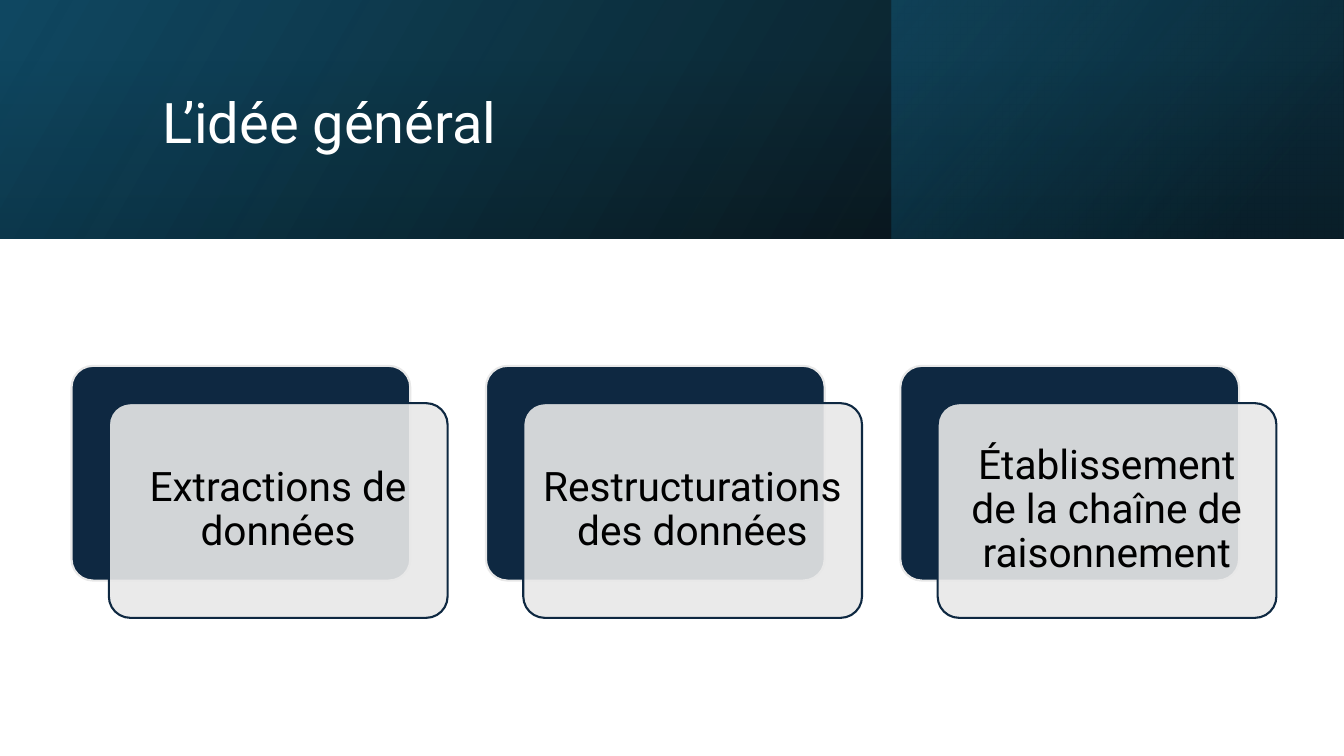
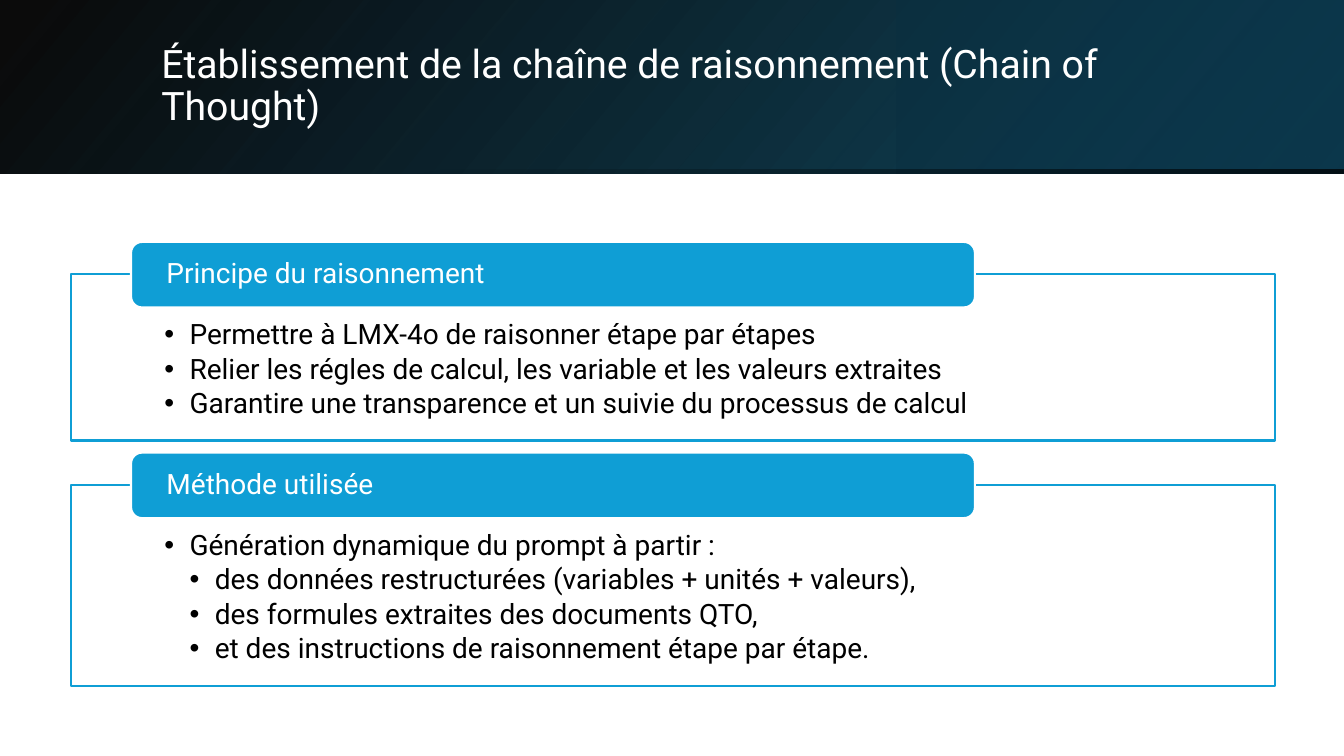
import pptx
import pptx.util
import pptx.dml.color
import pptx.enum.shapes
import pptx.enum.text
import pptx.oxml
import pptx.oxml.ns

Inches = pptx.util.Inches
Pt = pptx.util.Pt
Shape = pptx.enum.shapes.MSO_SHAPE
Align = pptx.enum.text.PP_ALIGN
Anchor = pptx.enum.text.MSO_ANCHOR

COLORS = {
    "black": "000000",
    "white": "FFFFFF",
    "navy": "0E2841",
    "grey": "E8E8E8",
    "sky": "0F9ED5",
    "petrol": "104862",
    "deep": "0B3041",
    "teal": "156082",
}
FONT = "Roboto"
SLIDE_WIDTH = 13.33
TITLE_ONLY, TWO_CONTENT = 5, 3
BULLET_STEP = 0.25

STEPS = [
    "Extractions de données",
    "Restructurations des données",
    "Établissement de la chaîne de raisonnement",
]
PRINCIPLE = [
    (1, "Permettre à LMX-4o de raisonner étape par étapes"),
    (1, "Relier les régles de calcul, les variable et les valeurs extraites"),
    (1, "Garantire une transparence et un suivie du processus de calcul"),
]
METHOD = [
    (1, "Génération dynamique du prompt à partir :"),
    (2, "des données restructurées (variables + unités + valeurs),"),
    (2, "des formules extraites des documents QTO,"),
    (2, "et des instructions de raisonnement étape par étape."),
]


def rgb(name):
    return pptx.dml.color.RGBColor.from_string(COLORS[name])


def set_alpha(color_element, percent):
    alpha = pptx.oxml.parse_xml(
        f'<a:alpha {pptx.oxml.ns.nsdecls("a")} val="{percent * 1000}"/>'
    )
    color_element.append(alpha)


def place(shape, left, top, width, height):
    shape.left, shape.top = Inches(left), Inches(top)
    shape.width, shape.height = Inches(width), Inches(height)


def add_bullet(paragraph, level):
    paragraph.level = level - 1
    properties = paragraph._p.get_or_add_pPr()
    properties.set("marL", str(Inches(BULLET_STEP * level)))
    properties.set("indent", str(-Inches(BULLET_STEP)))
    properties.append(
        pptx.oxml.parse_xml(f'<a:buChar {pptx.oxml.ns.nsdecls("a")} char="•"/>')
    )


def write(shape, lines, size=20, color="black", align=Align.LEFT,
          anchor=Anchor.MIDDLE, insets=(0.1, 0.05, 0.1, 0.05),
          bullets=False, space_after=0):
    frame = shape.text_frame
    frame.word_wrap = True
    frame.auto_size = pptx.enum.text.MSO_AUTO_SIZE.NONE
    frame.vertical_anchor = anchor
    (frame.margin_left, frame.margin_top,
     frame.margin_right, frame.margin_bottom) = map(Inches, insets)
    for index, (level, text) in enumerate(lines):
        paragraph = frame.add_paragraph() if index else frame.paragraphs[0]
        paragraph.alignment = align
        paragraph.line_spacing = 0.9
        paragraph.space_before = Pt(0)
        paragraph.space_after = Pt(space_after)
        if bullets:
            add_bullet(paragraph, level)
        run = paragraph.add_run()
        run.text = text
        run.font.name = FONT
        run.font.size = Pt(size)
        run.font.color.rgb = rgb(color)


def paint(shape, fill, line, alpha=100):
    shape.fill.solid()
    shape.fill.fore_color.rgb = rgb(fill)
    if alpha < 100:
        set_alpha(shape.fill._xPr.xpath("./a:solidFill/a:srgbClr")[0], alpha)
    shape.line.color.rgb = rgb(line)
    shape.line.width = Pt(1.5)


def add_panel(slide, kind, box, fill, line, alpha=100):
    panel = slide.shapes.add_shape(kind, *map(Inches, box))
    panel.shadow.inherit = False
    paint(panel, fill, line, alpha)
    return panel


def add_gradient(slide, left, height, clockwise, stops):
    layer = slide.shapes.add_shape(
        Shape.RECTANGLE, Inches(left), 0, Inches(SLIDE_WIDTH - left), Inches(height)
    )
    layer.shadow.inherit = False
    layer.line.fill.background()
    layer.fill.gradient()
    layer.fill.gradient_angle = 360 - clockwise
    for stop, (position, color, alpha) in zip(layer.fill.gradient_stops, stops):
        stop.position = position
        stop.color.rgb = rgb(color)
        set_alpha(stop._gs.xpath("./a:srgbClr")[0], alpha)


def add_header(slide, text, size, box, height, layers):
    for left, clockwise, *stops in layers:
        add_gradient(slide, left, height, clockwise, stops)
    title = slide.shapes.title
    slide.shapes._spTree.append(title._element)
    place(title, *box)
    write(title, [(1, text)], size=size, color="white")


def add_step(slide, left, text):
    top, width, height, offset = 3.63, 3.36, 2.13, 0.37
    back = add_panel(slide, Shape.ROUNDED_RECTANGLE,
                     (left, top, width, height), "navy", "grey")
    front = add_panel(slide, Shape.ROUNDED_RECTANGLE,
                      (left + offset, top + offset, width, height),
                      "grey", "navy", alpha=90)
    for card in (back, front):
        card.adjustments[0] = 0.1
    write(front, [(1, text)], size=29, align=Align.CENTER,
          insets=(0.11, 0.12, 0.11, 0.12))


def add_section(slide, body, top, height, heading, items):
    place(body, 0.7, top, 11.95, height)
    paint(body, "white", "sky")
    write(body, items, anchor=Anchor.TOP, insets=(0.93, 0.46, 0.93, 0.16),
          bullets=True, space_after=3)
    tab = add_panel(slide, Shape.ROUNDED_RECTANGLE,
                    (1.3, top - 0.32, 8.37, 0.65), "sky", "white")
    write(tab, [(1, heading)], color="white", insets=(0.32, 0, 0.32, 0))


def build_overview(deck):
    slide = deck.slides.add_slide(deck.slide_layouts[TITLE_ONLY])
    add_header(slide, "L’idée général", 40, (1.51, 0.38, 10.63, 1.72), 2.37, [
        (0, 30, (0, "petrol", 100), (1, "black", 96)),
        (8.84, 40, (0, "teal", 48), (0.81, "deep", 68)),
        (0, 90, (0.23, "petrol", 16), (0.99, "black", 15)),
    ])
    for index, text in enumerate(STEPS):
        add_step(slide, 0.71 + index * 4.11, text)


def build_reasoning(deck):
    slide = deck.slides.add_slide(deck.slide_layouts[TWO_CONTENT])
    add_header(slide,
               "Établissement de la chaîne de raisonnement (Chain of Thought)",
               28, (1.5, 0.38, 10.98, 0.96), 1.72, [
                   (0, 40, (0, "black", 96), (1, "petrol", 100)),
                   (8.89, 40, (0, "deep", 40), (1, "deep", 68)),
                   (0, 80, (0.6, "black", 0), (1, "black", 74)),
               ])
    add_section(slide, slide.placeholders[1], 2.72, 1.65,
                "Principe du raisonnement", PRINCIPLE)
    add_section(slide, slide.placeholders[2], 4.81, 2,
                "Méthode utilisée", METHOD)


def main():
    deck = pptx.Presentation()
    deck.slide_width, deck.slide_height = Inches(SLIDE_WIDTH), Inches(7.5)
    build_overview(deck)
    build_reasoning(deck)
    deck.save("out.pptx")


if __name__ == "__main__":
    main()
